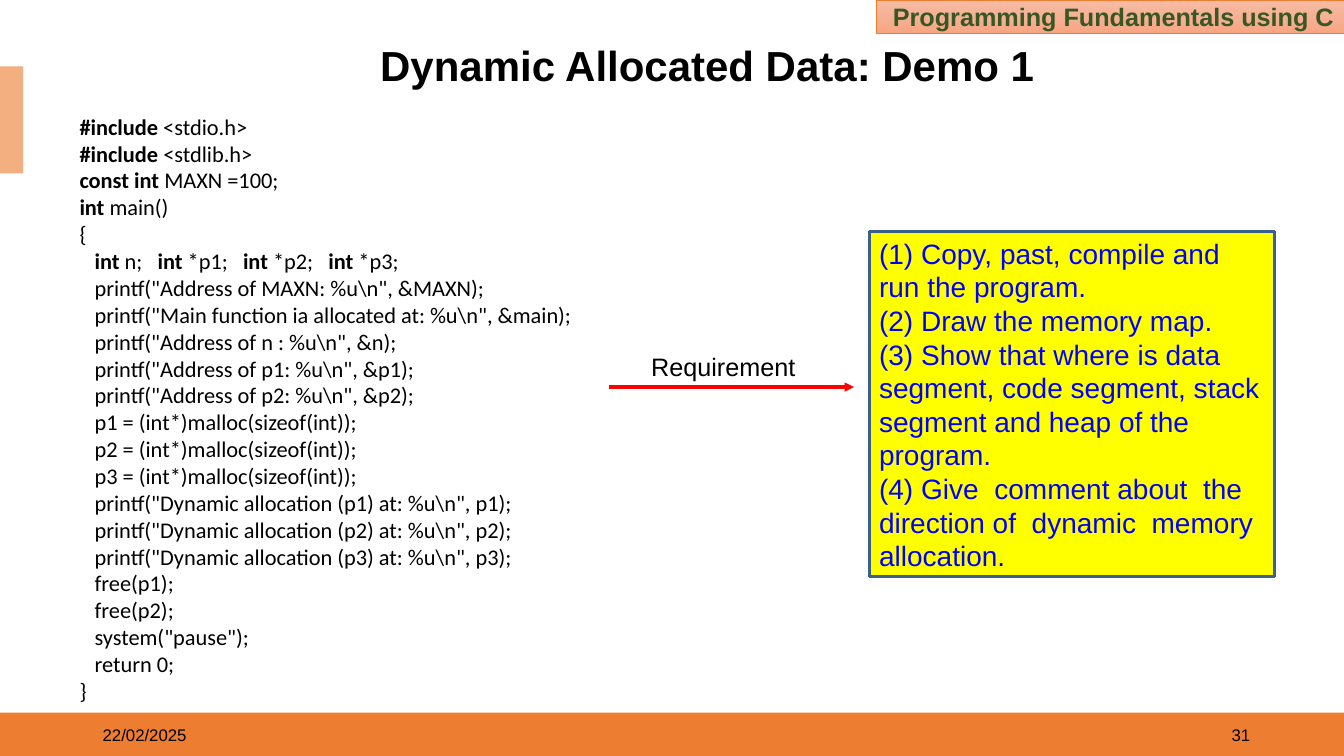
from copy import deepcopy

from lxml.etree import SubElement
from pptx import Presentation
from pptx.dml.color import RGBColor
from pptx.enum.shapes import MSO_CONNECTOR, MSO_SHAPE
from pptx.enum.text import MSO_ANCHOR, MSO_AUTO_SIZE, PP_ALIGN
from pptx.oxml.ns import qn
from pptx.util import Pt

PX = 9144  # EMU in one px, 100 px to the inch
SLIDE_W, SLIDE_H = 1333, 750

BLACK = RGBColor(0x00, 0x00, 0x00)
WHITE = RGBColor(0xFF, 0xFF, 0xFF)
ORANGE = RGBColor(0xED, 0x7D, 0x31)
LIGHT_ORANGE = RGBColor(0xF4, 0xAF, 0x80)
GREEN = RGBColor(0x38, 0x57, 0x23)
YELLOW = RGBColor(0xFF, 0xFF, 0x00)
BLUE = RGBColor(0x00, 0x00, 0xFF)
STEEL = RGBColor(0x3A, 0x5F, 0x8C)
RED = RGBColor(0xFF, 0x00, 0x00)
BANNER_STOPS = [(0, RGBColor(0xF7, 0xBD, 0xA5)), (0.5, RGBColor(0xF5, 0xB1, 0x96)),
                (1, RGBColor(0xF8, 0xA5, 0x82))]

# Text between backticks is a bold keyword.
CODE = r"""`#include` <stdio.h>
`#include `<stdlib.h>
`const int` MAXN =100;
`int `main()
{
`   int` n;   `int` *p1;   `int` *p2;   `int` *p3;
   printf("Address of MAXN: %u\n", &MAXN);
   printf("Main function ia allocated at: %u\n", &main);
   printf("Address of n : %u\n", &n);
   printf("Address of p1: %u\n", &p1);
   printf("Address of p2: %u\n", &p2);
   p1 = (int*)malloc(sizeof(int));
   p2 = (int*)malloc(sizeof(int));
   p3 = (int*)malloc(sizeof(int));
   printf("Dynamic allocation (p1) at: %u\n", p1);
   printf("Dynamic allocation (p2) at: %u\n", p2);
   printf("Dynamic allocation (p3) at: %u\n", p3);
   free(p1);
   free(p2);
   system("pause");
   return 0;
}"""

TASKS = [
    "(1) Copy, past, compile and run the program.",
    "(2) Draw the memory map.",
    "(3) Show that where is data segment, code segment, stack segment and heap of the program.",
    "(4) Give  comment about  the direction of  dynamic  memory allocation.",
]


def emu(*lengths):
    return [n * PX for n in lengths]


def add_rect(s, box, fill=None, line=None, width=1):
    sp = s.shapes.add_shape(MSO_SHAPE.RECTANGLE, *emu(*box))
    sp.shadow.inherit = False
    if fill is not None:
        sp.fill.solid()
        sp.fill.fore_color.rgb = fill
    if line is None:
        sp.line.fill.background()
    else:
        sp.line.color.rgb = line
        sp.line.width = Pt(width)
    return sp


def write(tf, lines, size, color=BLACK, font="Arial", bold=False,
          align=PP_ALIGN.LEFT, anchor=MSO_ANCHOR.MIDDLE):
    """Fill a text frame, one paragraph a line; each line is a list of runs
    that alternate between the given weight and bold."""
    tf.word_wrap = True
    tf.auto_size = MSO_AUTO_SIZE.NONE
    tf.vertical_anchor = anchor
    for i, parts in enumerate(lines):
        p = tf.paragraphs[0] if i == 0 else tf.add_paragraph()
        p.alignment = align
        for j, part in enumerate(parts):
            if part:
                r = p.add_run()
                r.text = part
                r.font.name = font
                r.font.size = Pt(size)
                r.font.bold = bold or j % 2 == 1
                r.font.color.rgb = color


def add_text(s, box, lines, size, **style):
    tb = s.shapes.add_textbox(*emu(*box))
    write(tb.text_frame, lines, size, **style)


def add_banner(s, box):
    sp = add_rect(s, box, line=ORANGE, width=0.5)
    sp.fill.gradient()
    sp.fill.gradient_angle = 270
    stop_list = sp._element.spPr.find(qn("a:gradFill")).find(qn("a:gsLst"))
    stop_list.append(deepcopy(stop_list[0]))
    for stop, (position, color) in zip(sp.fill.gradient_stops, BANNER_STOPS):
        stop.position = position
        stop.color.rgb = color
    write(sp.text_frame, [["Programming Fundamentals using C"]], 18,
          color=GREEN, bold=True, align=PP_ALIGN.RIGHT)
    rpr = sp.text_frame.paragraphs[0].runs[0]._r.get_or_add_rPr()
    outline = SubElement(rpr, qn("a:ln"), w=str(Pt(0.75)))
    SubElement(SubElement(outline, qn("a:solidFill")), qn("a:srgbClr"), val=str(WHITE))
    rpr.insert(0, outline)


def add_footer(s, box):
    x, y, w, h = box
    add_rect(s, box, fill=ORANGE)
    add_text(s, (x + 950, y + 2, 300, 40), [["31"]], 12, align=PP_ALIGN.RIGHT)
    add_text(s, (x + 92, y + 2, 300, 40), [["22/02/2025"]], 12)


def set_title(s, box):
    title = s.shapes.title
    title.left, title.top, title.width, title.height = emu(*box)
    title.fill.solid()
    title.fill.fore_color.rgb = WHITE
    write(title.text_frame, [["Dynamic Allocated Data: Demo 1"]], 30, bold=True)
    title.text_frame.paragraphs[0].line_spacing = 0.9


def add_code(s, box):
    lines = [line.split("`") for line in CODE.splitlines()]
    add_text(s, box, lines, 16, font="Calibri", anchor=MSO_ANCHOR.TOP)


def add_tasks(s, box):
    sp = add_rect(s, box, fill=YELLOW, line=STEEL, width=2)
    write(sp.text_frame, [[task] for task in TASKS], 20, color=BLUE)


def add_requirement_arrow(s, box):
    """Label above an arrow that runs along the bottom of the box."""
    x, y, w, h = box
    arrow = s.shapes.add_connector(MSO_CONNECTOR.STRAIGHT, *emu(x, y + h, x + w, y + h))
    arrow.line.color.rgb = RED
    arrow.line.width = Pt(2.25)
    SubElement(arrow.line._get_or_add_ln(), qn("a:tailEnd"), type="triangle")
    SubElement(arrow._element.spPr, qn("a:effectLst"))
    add_text(s, (x + 32, y, 180, h), [["Requirement"]], 18, anchor=MSO_ANCHOR.TOP)


def main():
    prs = Presentation()
    prs.slide_width, prs.slide_height = emu(SLIDE_W, SLIDE_H)
    s = prs.slides.add_slide(prs.slide_layouts[5])
    set_title(s, (367, 42, 695, 51))
    add_footer(s, (0, 707, SLIDE_W, 43))
    add_rect(s, (0, 66, 23, 106), fill=LIGHT_ORANGE)
    add_banner(s, (869, 0, SLIDE_W - 869, 33))
    add_code(s, (69, 107, 652, 602))
    add_tasks(s, (862, 230, 402, 342))
    add_requirement_arrow(s, (604, 344, 243, 40))
    prs.save("out.pptx")


if __name__ == "__main__":
    main()
